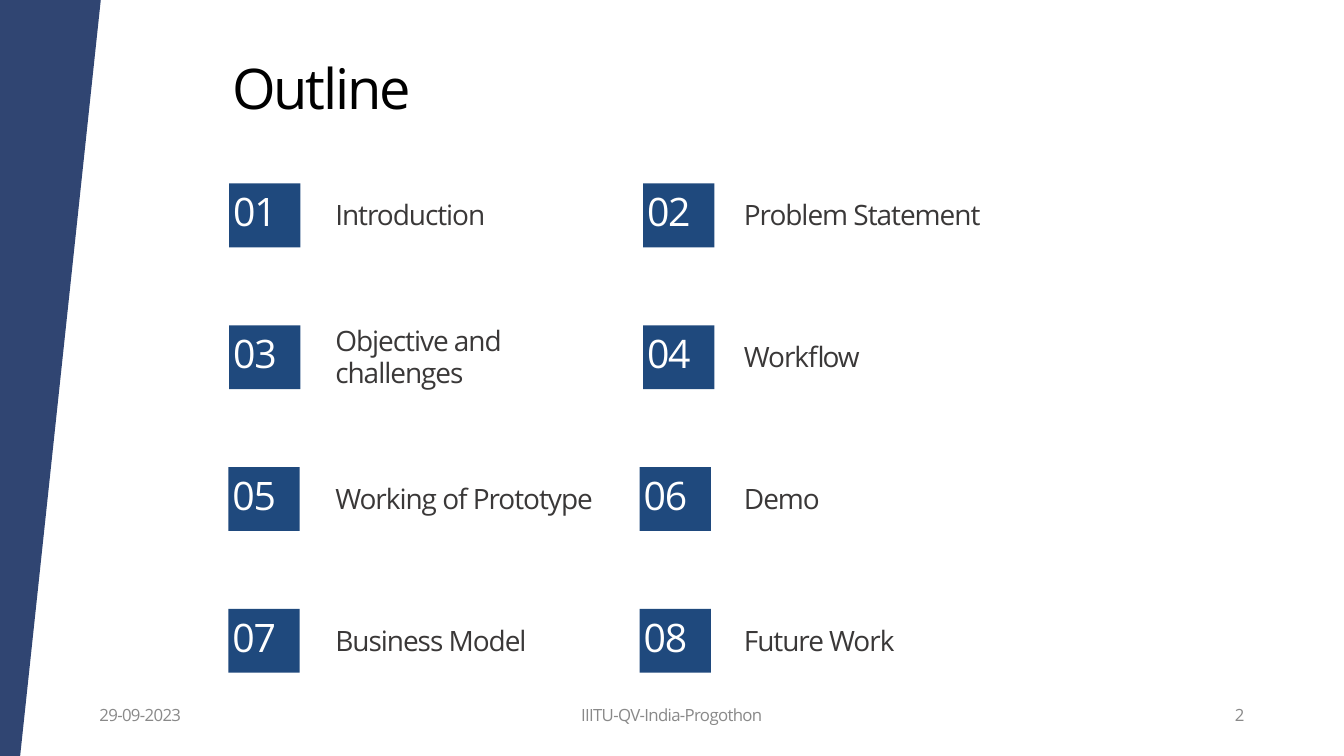
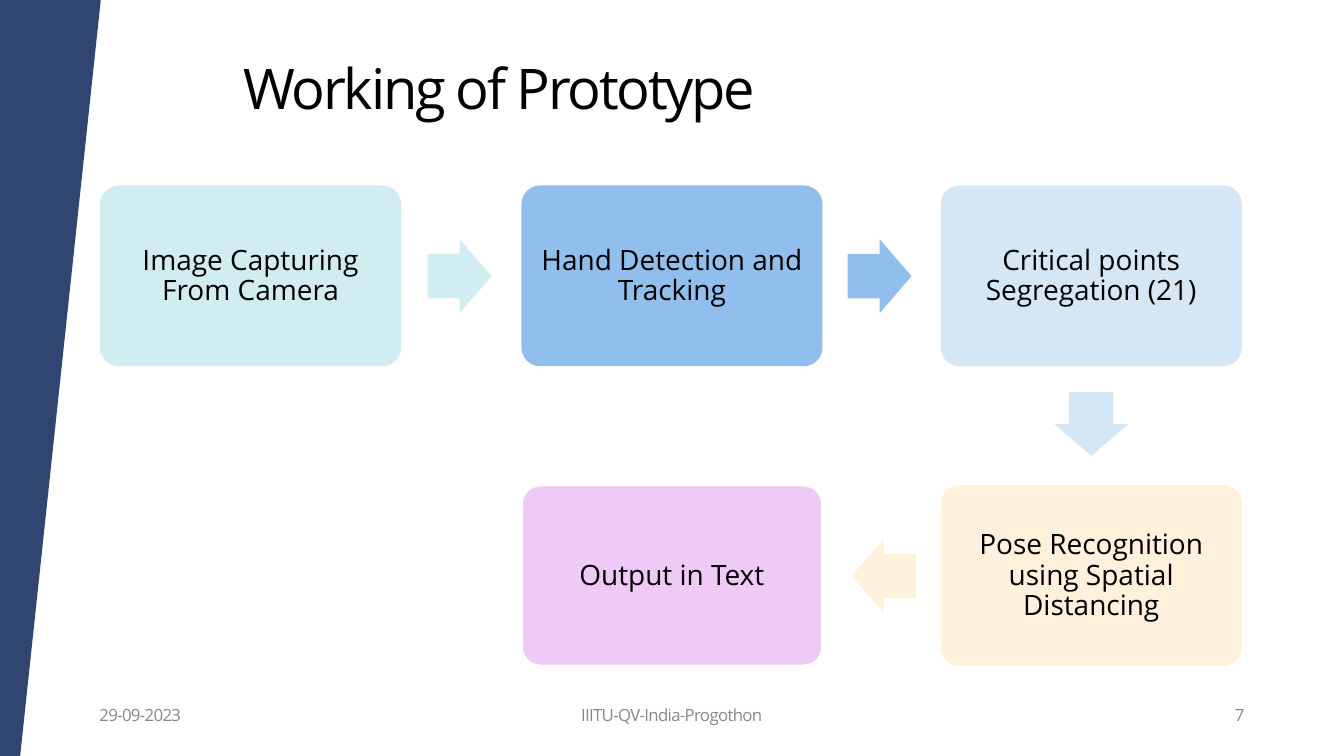
from pptx import Presentation
from pptx.dml.color import RGBColor
from pptx.enum.shapes import MSO_SHAPE
from pptx.enum.text import MSO_ANCHOR, MSO_AUTO_SIZE, PP_ALIGN
from pptx.util import Inches, Pt

COLORS = {
    "band": "304572", "badge": "1F497D", "title": "000000", "label": "3A3838",
    "footer": "898989", "white": "FFFFFF", "card_text": "000000",
    "aqua": "D2EDF1", "blue": "91BFED", "ice": "D5E7F5",
    "cream": "FFF1DB", "lilac": "EFCAF6",
}
# Size, line spacing and letter spacing in points
STYLES = {
    "title": {"size": 60, "line": 64.8, "tracking": -2.4, "color": "title"},
    "footer": {"size": 18, "line": 21.6, "tracking": -0.7, "color": "footer"},
    "badge": {"size": 42, "line": 50.4, "tracking": -1.4, "color": "white"},
    "label": {"size": 30, "line": 34.2, "tracking": -1.1, "color": "label"},
    "card": {"size": 30, "line": 32.4, "tracking": 0, "color": "card_text"},
}
DATE, EVENT = "29-09-2023", "IIITU-QV-India-Progothon"


def write(shape, text, style_name, align=PP_ALIGN.LEFT, anchor=MSO_ANCHOR.TOP, inset=0):
    style = STYLES[style_name]
    frame = shape.text_frame
    frame_format = {"word_wrap": True, "auto_size": MSO_AUTO_SIZE.NONE, "vertical_anchor": anchor}
    frame_format |= {f"margin_{side}": Inches(inset) for side in ("left", "top", "right", "bottom")}
    for name, value in frame_format.items():
        setattr(frame, name, value)
    para = frame.paragraphs[0]
    para.alignment = align
    para.line_spacing = Pt(style["line"])
    span = para.add_run()
    span.text = text
    for name, value in {"name": "Open Sans", "size": Pt(style["size"])}.items():
        setattr(span.font, name, value)
    span.font.color.rgb = RGBColor.from_string(COLORS[style["color"]])
    if style["tracking"]:
        span.font._element.set("spc", str(round(style["tracking"] * 100)))


def paint(shape, fill, line=None):
    shape.shadow.inherit = False
    shape.fill.solid()
    shape.fill.fore_color.rgb = RGBColor.from_string(COLORS[fill])
    if line:
        shape.line.color.rgb = RGBColor.from_string(COLORS[line])
        shape.line.width = Pt(1.44)
    else:
        shape.line.fill.background()


deck = Presentation()
deck.slide_width, deck.slide_height = Inches(20), Inches(11.25)

# Shared frame: title, slanted band and footer
pages = []
for title, title_left, number in (("Outline", 3.46, "2"), ("Working of Prototype", 3.62, "7")):
    page = deck.slides.add_slide(deck.slide_layouts[5])
    pages.append(page)
    heading = page.shapes.title
    heading.left, heading.top = Inches(title_left), Inches(0.9)
    heading.width, heading.height = Inches(15), Inches(0.91)
    write(heading, title, "title")

    outline = page.shapes.build_freeform(0, 0, scale=Inches(1) / 100)
    outline.add_line_segments([(150, 0), (30, 1125), (0, 1125)], close=True)
    paint(outline.convert_to_shape(), "band")

    for text, left, width, align in (
        (DATE, 1.48, 4.3, PP_ALIGN.LEFT),
        (EVENT, 6.72, 6.55, PP_ALIGN.CENTER),
        (number, 14.22, 4.3, PP_ALIGN.RIGHT),
    ):
        box = page.shapes.add_textbox(Inches(left), Inches(10.49), Inches(width), Inches(0.49))
        write(box, text, "footer", align)

outline_page, prototype_page = pages

# Outline: numbered topics in two columns
TOPICS = [
    "Introduction", "Problem Statement", "Objective and challenges", "Workflow",
    "Working of Prototype", "Demo", "Business Model", "Future Work",
]
BADGE_WIDTH, BADGE_HEIGHT = Inches(1.06), Inches(0.95)
LABEL_COLUMNS = [(4.99, 4.17), (11.07, 6.36)]
for index, topic in enumerate(TOPICS):
    row, column = divmod(index, 2)
    top = Inches(2.73 + row * 2.11)
    badge_left = ((3.41, 9.57) if row < 2 else (3.4, 9.52))[column]
    badge = outline_page.shapes.add_shape(
        MSO_SHAPE.RECTANGLE, Inches(badge_left), top, BADGE_WIDTH, BADGE_HEIGHT)
    paint(badge, "badge")
    write(badge, f"{index + 1:02}", "badge", inset=0.06)
    label_left, label_width = LABEL_COLUMNS[column]
    label = outline_page.shapes.add_textbox(
        Inches(label_left), top, Inches(label_width), BADGE_HEIGHT)
    write(label, topic, "label", anchor=MSO_ANCHOR.MIDDLE)

# Prototype: steps run right, down, then back left
STEPS = [
    ("Image Capturing From Camera", 1.5, 2.77, "aqua", "aqua"),
    ("Hand Detection and Tracking", 7.77, 2.77, "blue", "blue"),
    ("Critical points Segregation (21)", 14.01, 2.77, "ice", "ice"),
    ("Pose Recognition using Spatial Distancing", 14.01, 7.23, "cream", "cream"),
    ("Output in Text", 7.77, 7.23, "lilac", "white"),
]
for text, left, top, fill, line in STEPS:
    card = prototype_page.shapes.add_shape(
        MSO_SHAPE.ROUNDED_RECTANGLE, Inches(left), Inches(top), Inches(4.46), Inches(2.67))
    card.adjustments[0] = 0.1
    paint(card, fill, line)
    write(card, text, "card", PP_ALIGN.CENTER, MSO_ANCHOR.MIDDLE, inset=0.17)

ARROW_LENGTH, ARROW_SPREAD = 0.95, 1.1
ARROWS = [
    (MSO_SHAPE.RIGHT_ARROW, 6.84, 4.11, "aqua"),
    (MSO_SHAPE.RIGHT_ARROW, 13.09, 4.11, "blue"),
    (MSO_SHAPE.DOWN_ARROW, 16.24, 6.31, "ice"),
    (MSO_SHAPE.LEFT_ARROW, 13.15, 8.57, "cream"),
]
for kind, center_x, center_y, fill in ARROWS:
    width, height = ARROW_LENGTH, ARROW_SPREAD
    if kind == MSO_SHAPE.DOWN_ARROW:
        width, height = height, width
    arrow = prototype_page.shapes.add_shape(
        kind, Inches(center_x - width / 2), Inches(center_y - height / 2),
        Inches(width), Inches(height))
    arrow.adjustments[0], arrow.adjustments[1] = 0.6, 0.5
    paint(arrow, fill)

deck.save("out.pptx")
